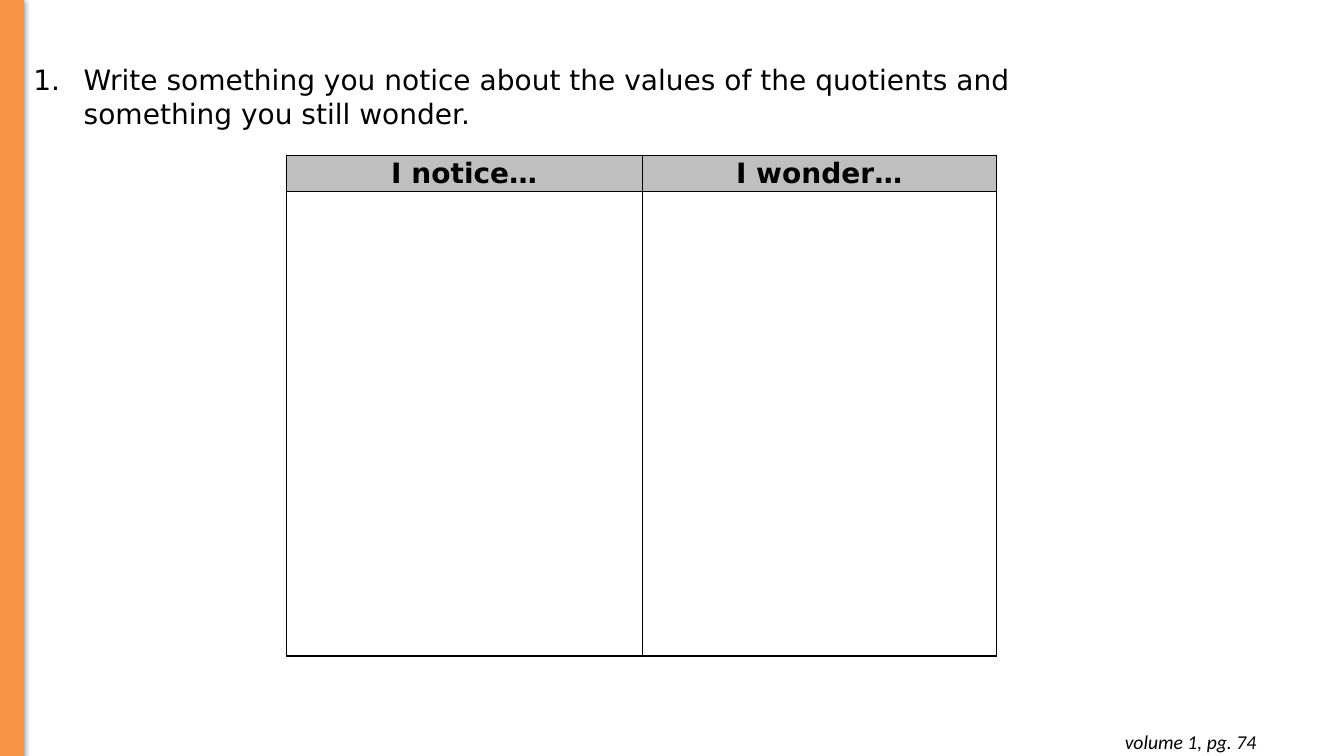
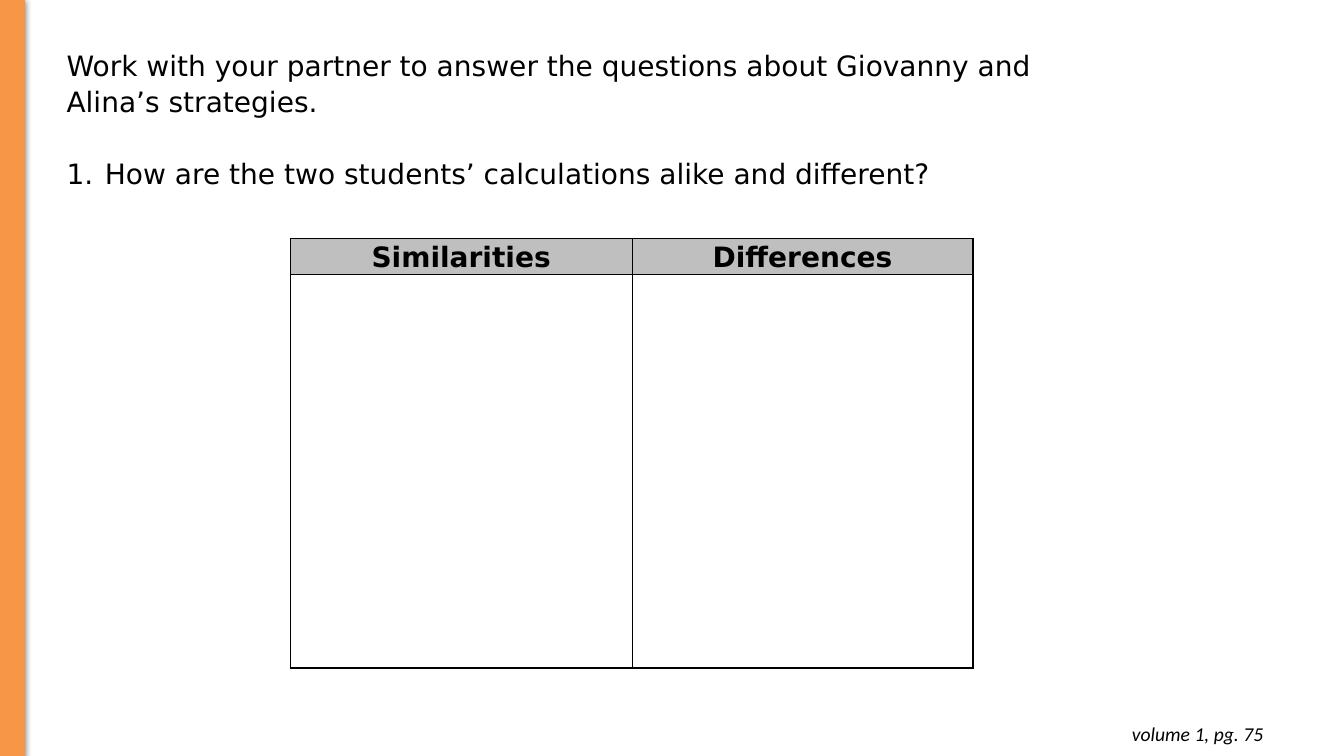
from lxml.etree import SubElement
from pptx import Presentation
from pptx.dml.color import RGBColor
from pptx.enum.shapes import MSO_SHAPE
from pptx.enum.text import MSO_ANCHOR, MSO_AUTO_SIZE, PP_ALIGN
from pptx.oxml import parse_xml
from pptx.oxml.ns import nsdecls, qn
from pptx.util import Inches, Pt

BLACK, ORANGE, GRAY = "000000", "F79647", "BFBFBF"
TEXT_FONT, FOOTER_FONT = "DejaVu Sans", "Calibri"
TITLE, BODY = 0, 1

SLIDES = [
    {
        "prompts": {
            TITLE: {
                "text": "Write something you notice about the values of the quotients and something you still wonder.",
                "box": (0.23, 0.57, 11.07, 0.8), "number_indent": 0.5, "spacing": 1.0,
            },
        },
        "headings": ["I notice…", "I wonder…"],
        "table_at": (2.84, 1.54), "columns": [3.53, 3.51], "rows": [0.33, 4.61],
        "footer": "volume 1, pg. 74", "footer_box": (9.68, 7.14, 2.88, 0.44),
        "band_left": -0.01,
    },
    {
        "prompts": {
            TITLE: {
                "text": "Work with your partner to answer the questions about Giovanny and Alina’s strategies.",
                "box": (0.56, 0.41, 10.74, 0.85), "number_indent": 0, "spacing": 1.07,
            },
            BODY: {
                "text": "How are the two students’ calculations alike and different?",
                "box": (0.56, 1.48, 10.74, 0.5), "number_indent": 0.38, "spacing": 1.07,
            },
        },
        "headings": ["Similarities", "Differences"],
        "table_at": (2.88, 2.37), "columns": [3.39, 3.38], "rows": [0.35, 3.9],
        "footer": "volume 1, pg. 75", "footer_box": (8, 7.06, 4.63, 0.44),
        "band_left": 0,
    },
]


def color(value):
    return RGBColor.from_string(value)


def inches(values):
    return [Inches(value) for value in values]


def add_run(paragraph, text, size=20, font=TEXT_FONT, bold=False, italic=False):
    run = paragraph.add_run()
    run.text = text
    run.font.size, run.font.name = Pt(size), font
    run.font.bold, run.font.italic = bold, italic
    run.font.color.rgb = color(BLACK)


def set_numbering(paragraph, indent):
    properties = paragraph._p.get_or_add_pPr()
    properties.set("marL", str(Inches(indent)))
    properties.set("indent", str(-Inches(indent)))
    if indent:
        bullet_color = SubElement(properties, qn("a:buClr"))
        SubElement(bullet_color, qn("a:srgbClr"), val=BLACK)
        SubElement(properties, qn("a:buFont"), typeface="+mj-lt")
        SubElement(properties, qn("a:buAutoNum"), type="arabicPeriod")
    else:
        SubElement(properties, qn("a:buNone"))


def fill_prompts(slide, prompts):
    for placeholder in list(slide.placeholders):
        prompt = prompts.get(placeholder.placeholder_format.idx)
        if prompt is None:
            placeholder._element.getparent().remove(placeholder._element)
            continue
        placeholder.left, placeholder.top, placeholder.width, placeholder.height = inches(prompt["box"])
        frame = placeholder.text_frame
        frame.auto_size, frame.word_wrap = MSO_AUTO_SIZE.NONE, True
        frame.vertical_anchor = MSO_ANCHOR.TOP
        paragraph = frame.paragraphs[0]
        set_numbering(paragraph, prompt["number_indent"])
        paragraph.alignment = PP_ALIGN.LEFT
        paragraph.space_before = Pt(0)
        paragraph.line_spacing = prompt["spacing"]
        add_run(paragraph, prompt["text"])


def add_band(slide, left):
    band = slide.shapes.add_shape(MSO_SHAPE.RECTANGLE, *inches((left, -0.01, 0.24, 7.51)))
    band.fill.solid()
    band.fill.fore_color.rgb = color(ORANGE)
    band.line.color.rgb = color(ORANGE)
    band.line.width = Pt(0.75)
    band.shadow.inherit = False
    effects = band._element.spPr.find(qn("a:effectLst"))
    shadow = SubElement(effects, qn("a:outerShdw"), blurRad=str(Pt(4.5)),
                        dist=str(Pt(1.5)), dir="5400000", rotWithShape="0")
    shade = SubElement(shadow, qn("a:srgbClr"), val=BLACK)
    SubElement(shade, qn("a:alpha"), val="50000")


def add_footer(slide, text, box):
    frame = slide.shapes.add_textbox(*inches(box)).text_frame
    frame.word_wrap = True
    frame.margin_left = frame.margin_right = frame.margin_top = frame.margin_bottom = Inches(0.1)
    paragraph = frame.paragraphs[0]
    paragraph.alignment = PP_ALIGN.RIGHT
    add_run(paragraph, text, size=14, font=FOOTER_FONT, italic=True)


def add_borders(cell):
    properties = cell._tc.get_or_add_tcPr()
    for position, side in enumerate(("lnL", "lnR", "lnT", "lnB")):
        properties.insert(position, parse_xml(
            f'<a:{side} {nsdecls("a")} w="{Pt(1)}"><a:solidFill>'
            f'<a:srgbClr val="{BLACK}"/></a:solidFill></a:{side}>'))


def add_answer_table(slide, headings, at, columns, rows):
    size = (sum(columns), sum(rows))
    table = slide.shapes.add_table(len(rows), len(columns), *inches(at + size)).table
    table.first_row = table.horz_banding = False
    for column, width in zip(table.columns, columns):
        column.width = Inches(width)
    for row, height in zip(table.rows, rows):
        row.height = Inches(height)
    for cell in table.iter_cells():
        cell.fill.background()
        add_borders(cell)
    for heading, cell in zip(headings, table.rows[0].cells):
        cell.fill.solid()
        cell.fill.fore_color.rgb = color(GRAY)
        cell.margin_left = cell.margin_right = Inches(0.07)
        cell.margin_top = cell.margin_bottom = 0
        paragraph = cell.text_frame.paragraphs[0]
        paragraph.alignment = PP_ALIGN.CENTER
        paragraph.line_spacing = 1.07
        add_run(paragraph, heading, bold=True)


def main():
    deck = Presentation()
    deck.slide_width, deck.slide_height = inches((13.33, 7.5))
    for content in SLIDES:
        slide = deck.slides.add_slide(deck.slide_layouts[1])
        fill_prompts(slide, content["prompts"])
        add_footer(slide, content["footer"], content["footer_box"])
        add_band(slide, content["band_left"])
        add_answer_table(slide, content["headings"], content["table_at"],
                         content["columns"], content["rows"])
    deck.save("out.pptx")


if __name__ == "__main__":
    main()
